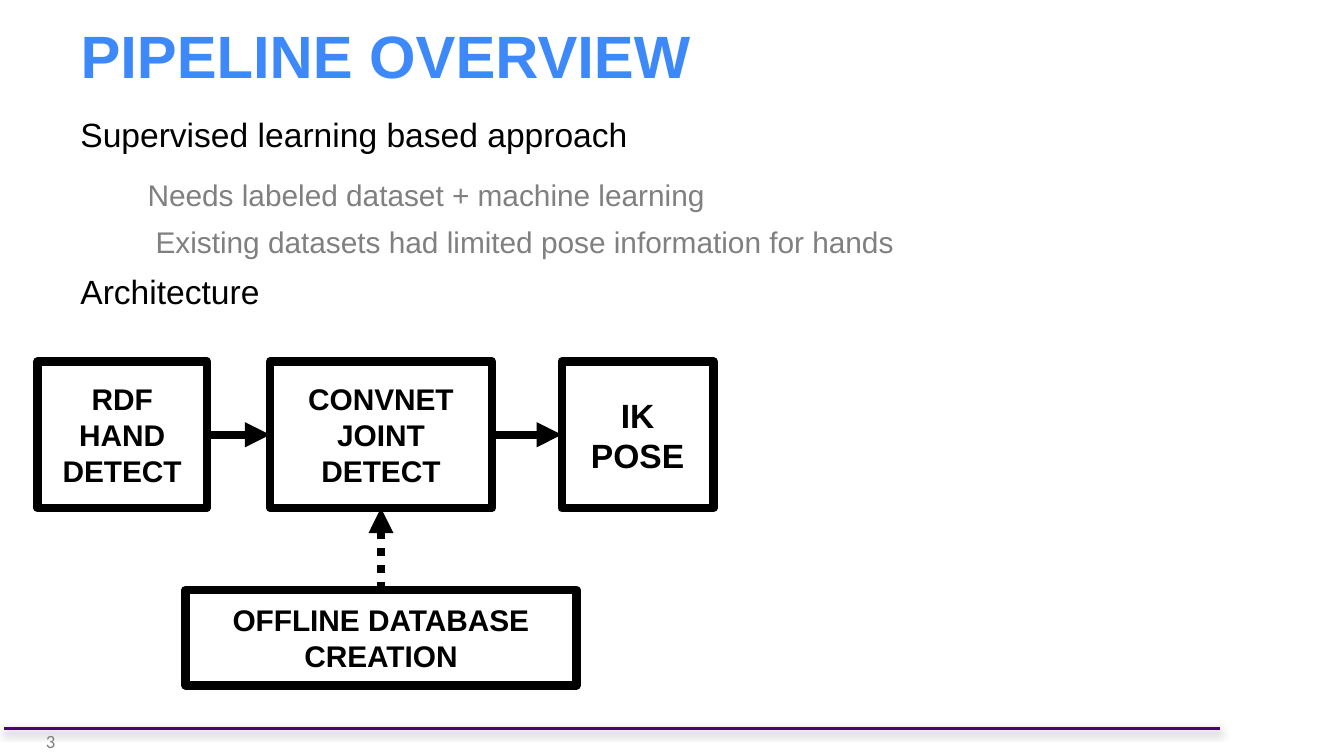
from lxml.etree import SubElement
from pptx import Presentation
from pptx.dml.color import RGBColor as RGB
from pptx.enum.dml import MSO_LINE_DASH_STYLE as DASH
from pptx.enum.shapes import MSO_CONNECTOR as CONN, MSO_SHAPE as SHAPE
from pptx.enum.text import MSO_ANCHOR as ANCHOR, MSO_AUTO_SIZE as AUTO, PP_ALIGN as ALIGN
from pptx.oxml.ns import qn
from pptx.util import Inches, Pt

COLORS = {"title": "3D89F9", "ink": "000000", "muted": "808080", "rule": "440578"}
TOP, LEFT, BOTTOM, RIGHT = range(4)


class Deck:
    CELL = 0.1
    HEAVY = 4.5

    def __init__(self, cols, rows):
        self.prs = Presentation()
        self.prs.slide_width, self.prs.slide_height = self.grid(cols, rows)
        self.s = self.prs.slides.add_slide(self.prs.slide_layouts[5])

    def grid(self, *cells):
        return [Inches(n * self.CELL) for n in cells]

    def run(self, p, text, size, color="ink", font="Arial", bold=False, **layout):
        for name, value in layout.items():
            setattr(p, name, value)
        r = p.add_run()
        r.text = text
        for name, value in {"size": Pt(size), "name": font, "bold": bold}.items():
            setattr(r.font, name, value)
        r.font.color.rgb = RGB.from_string(COLORS[color])

    def frame(self, sp, anchor):
        tf = sp.text_frame
        for name, value in {"word_wrap": True, "auto_size": AUTO.NONE,
                            "vertical_anchor": anchor}.items():
            setattr(tf, name, value)
        return tf

    def paragraphs(self, tf, count):
        return [tf.paragraphs[0]] + [tf.add_paragraph() for _ in range(count - 1)]

    def title(self, text, *place):
        sp = self.s.shapes.title
        sp.left, sp.top, sp.width, sp.height = self.grid(*place)
        tf = self.frame(sp, ANCHOR.BOTTOM)
        self.run(tf.paragraphs[0], text, 32, "title", bold=True, alignment=ALIGN.LEFT)

    def text(self, items, *place):
        sp = self.s.shapes.add_textbox(*self.grid(*place))
        tf = self.frame(sp, ANCHOR.TOP)
        for p, (text, indent, style) in zip(self.paragraphs(tf, len(items)), items):
            if indent:
                p._p.get_or_add_pPr().set("marL", str(self.grid(indent)[0]))
            self.run(p, text, **style)

    def box(self, lines, *place, size=16):
        sp = self.s.shapes.add_shape(SHAPE.RECTANGLE, *self.grid(*place))
        sp.shadow.inherit = False
        sp.fill.background()
        sp.line.color.rgb = RGB.from_string(COLORS["ink"])
        sp.line.width = Pt(self.HEAVY)
        tf = self.frame(sp, ANCHOR.MIDDLE)
        for p, text in zip(self.paragraphs(tf, len(lines)), lines):
            self.run(p, text, size, bold=True, alignment=ALIGN.CENTER)
        return sp

    def line(self, color, width, *ends):
        c = self.s.shapes.add_connector(CONN.STRAIGHT, *self.grid(*ends))
        c.line.color.rgb = RGB.from_string(COLORS[color])
        c.line.width = Pt(width)
        return c, SubElement(c._element.spPr, qn("a:effectLst"))

    def rule(self, *ends):
        _, effects = self.line("rule", 2, *ends)
        shadow = SubElement(effects, qn("a:outerShdw"), blurRad=str(Pt(4)),
                            dist=str(Pt(2)), dir="5400000", rotWithShape="0")
        color = SubElement(shadow, qn("a:srgbClr"), val=COLORS["ink"])
        SubElement(color, qn("a:alpha"), val="43000")

    def arrow(self, start, start_side, end, end_side, dash=None):
        c, _ = self.line("ink", self.HEAVY, 0, 0, 0, 0)
        c.begin_connect(start, start_side)
        c.end_connect(end, end_side)
        if dash:
            c.line.dash_style = dash
        SubElement(c._element.spPr.find(qn("a:ln")), qn("a:tailEnd"), type="triangle")


def main():
    deck = Deck(100, 56.25)
    deck.rule(0.3, 54.2, 90.8, 54.2)
    deck.title("PIPELINE OVERVIEW", 5, 1.5, 90, 5.7)

    topic = {"size": 18, "space_after": Pt(12)}
    detail = {"size": 16, "color": "muted", "space_after": Pt(6)}
    deck.text([
        ("Supervised learning based approach", 0, topic),
        ("Needs labeled dataset + machine learning", 5, detail),
        ("Existing datasets had limited pose information for hands", 5.6, detail),
        ("Architecture", 0, topic),
    ], 5, 8, 90, 44.3)

    top, height = 26.9, 10.9
    hand = deck.box(["RDF", "HAND DETECT"], 2.8, top, 12.6, height)
    joint = deck.box(["CONVNET JOINT DETECT"], 20.1, top, 16.5, height)
    pose = deck.box(["IK", "POSE"], 41.8, top, 11.3, height, size=18)
    database = deck.box(["OFFLINE DATABASE CREATION"], 13.8, 43.9, 29.1, 7.1)

    deck.arrow(hand, RIGHT, joint, LEFT)
    deck.arrow(joint, RIGHT, pose, LEFT)
    deck.arrow(database, TOP, joint, BOTTOM, DASH.ROUND_DOT)

    number = {"size": 10, "color": "muted", "font": "Calibri", "alignment": ALIGN.RIGHT}
    deck.text([("3", 0, number)], 1.2, 53.8, 3.9, 3.1)
    deck.prs.save("out.pptx")


if __name__ == "__main__":
    main()
